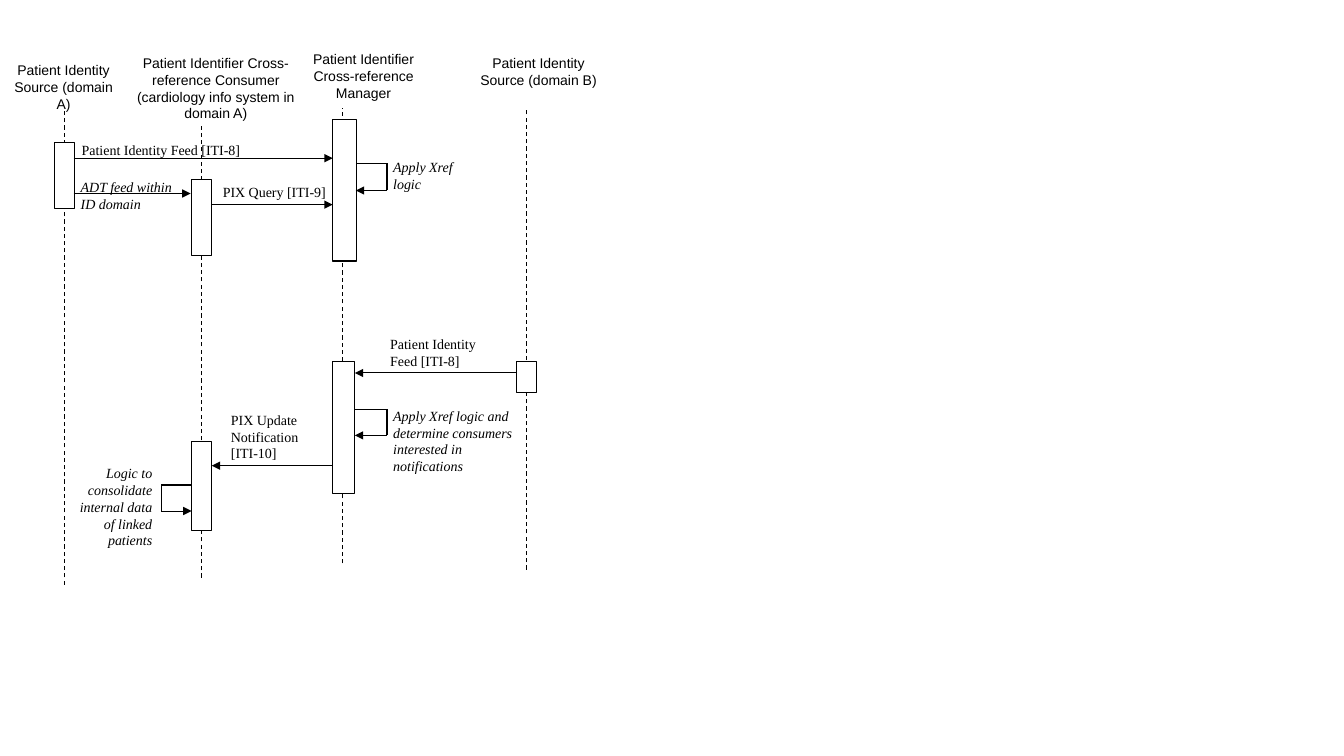
from pptx import Presentation
from pptx.dml.color import RGBColor
from pptx.enum.dml import MSO_LINE
from pptx.enum.shapes import MSO_CONNECTOR, MSO_SHAPE
from pptx.enum.text import MSO_ANCHOR, PP_ALIGN
from pptx.oxml.ns import qn
from pptx.util import Emu, Pt
from lxml import etree

DASH = MSO_LINE.DASH
STRAIGHT = MSO_CONNECTOR.STRAIGHT
RECT = MSO_SHAPE.RECTANGLE
TOP = MSO_ANCHOR.TOP
LEFT, CENTER, RIGHT = PP_ALIGN.LEFT, PP_ALIGN.CENTER, PP_ALIGN.RIGHT

PX = 9144  # EMU per px, 100 px to the inch
BLACK, WHITE = "000000", "FFFFFF"
BAR_OFFSET = 10  # from a bar's left edge to its lifeline
HEADING = {"name": "Arial", "size": Pt(10), "italic": False}
MESSAGE = {"name": "Times New Roman", "size": Pt(10), "italic": False}
NOTE = {**MESSAGE, "italic": True}
FRAME = {"word_wrap": True, "vertical_anchor": TOP, "margin_left": 0,
         "margin_right": 0, "margin_top": 0, "margin_bottom": 0}

# Heading, heading box, lifeline (x, top, bottom), bars (top, width, height)
PARTICIPANTS = [
    ("Patient Identity Source (domain A)", (11, 61, 104, 49),
     (64, 107, 580), [(141, 20, 66)]),
    ("Patient Identifier Cross-reference Consumer\n"
     "(cardiology info system in domain A)", (134, 54, 160, 69),
     (200, 110, 573), [(178, 20, 76), (438, 20, 88)]),
    ("Patient Identifier Cross-reference Manager", (301, 50, 119, 48),
     (340, 107, 559), [(119, 24, 140), (359, 22, 131)]),
    ("Patient Identity Source (domain B)", (475, 54, 118, 53),
     (522, 108, 565), [(359, 20, 30)]),
]

# Label, label box, font, arrow (from x, to x, y)
MESSAGES = [
    ("Patient Identity Feed [ITI-8]", (81, 140, 168, 30), MESSAGE, (73, 330, 157)),
    ("ADT feed within ID domain", (80, 177, 105, 33), NOTE, (73, 189, 192)),
    ("PIX Query [ITI-9]", (221, 182, 104, 19), MESSAGE, (210, 330, 203)),
    ("Patient Identity\nFeed [ITI-8]", (387, 333, 105, 36), MESSAGE, (513, 352, 370)),
    ("PIX Update\nNotification [ITI-10]", (229, 408, 86, 55), MESSAGE, (330, 210, 462)),
]

# Label, label box, alignment, loop (bar edge, outer x, top, bottom)
SELF_CALLS = [
    ("Apply Xref logic", (390, 157, 86, 33), LEFT, (353, 384, 162, 189)),
    ("Apply Xref logic and determine consumers interested in notifications",
     (390, 404, 122, 73), LEFT, (352, 384, 406, 432)),
    ("Logic to consolidate internal data of linked patients",
     (68, 461, 83, 82), RIGHT, (190, 160, 481, 507)),
]


def px(*lengths):
    return [Emu(length * PX) for length in lengths]


def color(hex_code):
    return RGBColor.from_string(hex_code)


def write(shape, text, font, align):
    frame = shape.text_frame
    for key, value in FRAME.items():
        setattr(frame, key, value)
    frame.text = text
    for paragraph in frame.paragraphs:
        paragraph.alignment = align
        paragraph.font.color.rgb = color(BLACK)
        for key, value in font.items():
            setattr(paragraph.font, key, value)


def add_label(slide, text, box, font, align=LEFT):
    write(slide.shapes.add_textbox(*px(*box)), text, font, align)


def add_box(slide, box):
    shape = slide.shapes.add_shape(RECT, *px(*box))
    shape.shadow.inherit = False
    shape.fill.solid()
    shape.fill.fore_color.rgb = color(WHITE)
    return shape


def add_line(slide, start, end, width=0.75, dash=None, arrow=False):
    connector = slide.shapes.add_connector(STRAIGHT, *px(*start, *end))
    connector.line.color.rgb = color(BLACK)
    connector.line.width = Pt(width)
    if dash:
        connector.line.dash_style = dash
    properties = connector._element.spPr
    if arrow:
        outline = properties.find(qn("a:ln"))
        etree.SubElement(outline, qn("a:tailEnd"), type="triangle")
    etree.SubElement(properties, qn("a:effectLst"))


def add_participant(slide, heading, box, lifeline, bars):
    x, top, bottom = lifeline
    add_line(slide, (x, bottom), (x, top), dash=DASH)
    heading_box = add_box(slide, box)
    heading_box.line.fill.background()
    write(heading_box, heading, HEADING, CENTER)
    for bar_top, width, height in bars:
        bar = add_box(slide, (x - BAR_OFFSET, bar_top, width, height))
        bar.line.color.rgb = color(BLACK)
        bar.line.width = Pt(0.75)


def add_message(slide, label, box, font, arrow):
    sender, receiver, y = arrow
    add_label(slide, label, box, font)
    add_line(slide, (sender, y), (receiver, y), arrow=True)


def add_self_call(slide, label, box, align, loop):
    bar_edge, outer, top, bottom = loop
    add_label(slide, label, box, NOTE, align)
    add_line(slide, (outer, top), (bar_edge, top), width=1)
    add_line(slide, (outer, top), (outer, bottom), width=1)
    add_line(slide, (outer, bottom), (bar_edge, bottom), arrow=True)


def main():
    deck = Presentation()
    deck.slide_width, deck.slide_height = px(1333, 750)
    slide = deck.slides.add_slide(deck.slide_layouts[6])

    # Lifelines with headings and activation bars
    for participant in PARTICIPANTS:
        add_participant(slide, *participant)
    # Messages between participants
    for message in MESSAGES:
        add_message(slide, *message)
    # Steps a participant performs on its own
    for self_call in SELF_CALLS:
        add_self_call(slide, *self_call)

    deck.save("out.pptx")


if __name__ == "__main__":
    main()
